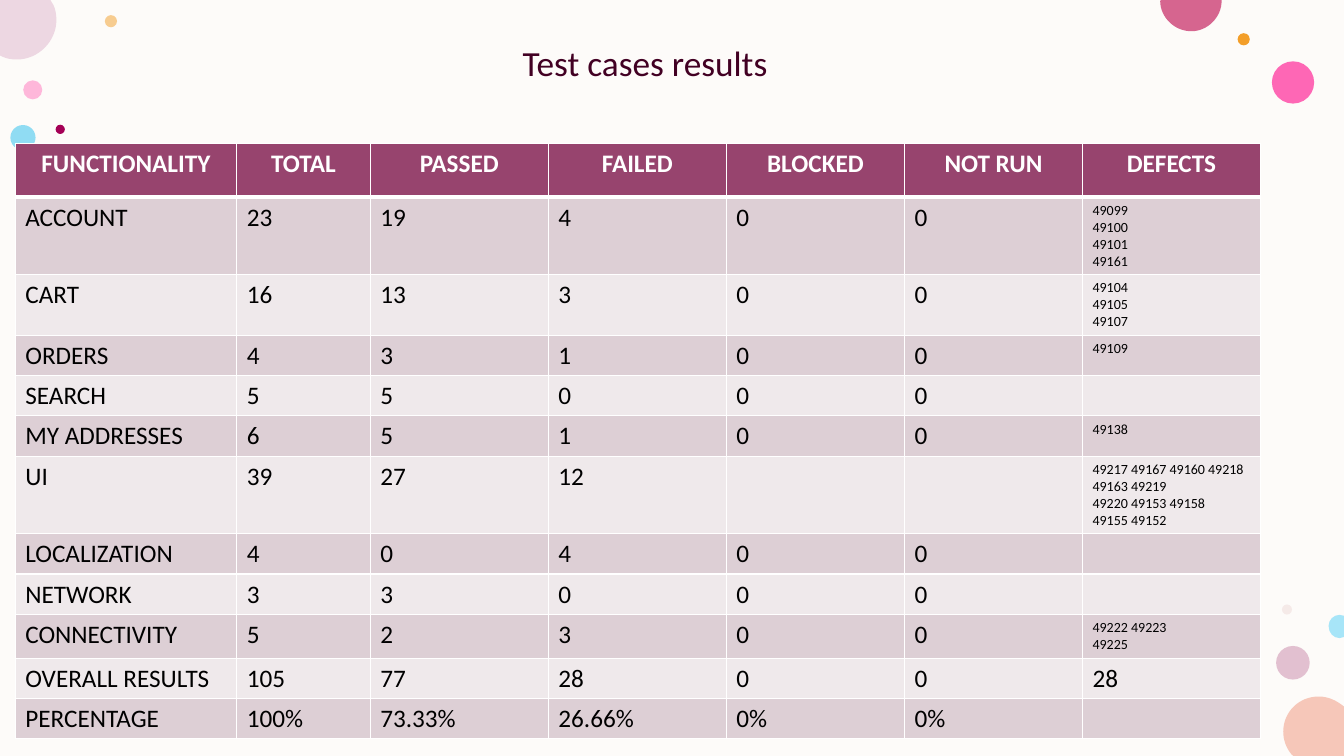
from lxml.etree import SubElement
from pptx import Presentation
from pptx.dml.color import RGBColor
from pptx.enum.shapes import MSO_SHAPE as Preset
from pptx.enum.text import MSO_ANCHOR as Anchor, PP_ALIGN as Align
from pptx.oxml.ns import qn
from pptx.util import Pt

SLIDE_WIDTH, SLIDE_HEIGHT = 960, 540
FONT = "Calibri"
CREAM = RGBColor(0xFD, 0xFB, 0xF9)
WHITE = RGBColor(0xFF, 0xFF, 0xFF)
BLACK = RGBColor(0x00, 0x00, 0x00)
DARK_PLUM = RGBColor(0x42, 0x00, 0x23)
PLUM = RGBColor(0x97, 0x44, 0x6E)
BAND_DARK = RGBColor(0xDD, 0xCF, 0xD5)
BAND_LIGHT = RGBColor(0xEF, 0xE9, 0xEB)
PINK = RGBColor(0xFF, 0x75, 0xBD)
HOT_PINK = RGBColor(0xFF, 0x2F, 0x9C)
ORANGE = RGBColor(0xF3, 0x9E, 0x29)
MAUVE = RGBColor(0xC9, 0x87, 0xA8)
BLUE = RGBColor(0x24, 0xBE, 0xEE)
PALE_BLUE = RGBColor(0xA7, 0xE5, 0xF8)
BLUSH = RGBColor(0xE3, 0xBE, 0xBE)
PEACH = RGBColor(0xF6, 0xC7, 0xB9)
LILAC = RGBColor(0xED, 0xD7, 0xE2)
ROSE = RGBColor(0xD6, 0x65, 0x8F)
CRIMSON = RGBColor(0xA4, 0x00, 0x56)

# left, top, diameter, colour, opacity in percent
BUBBLES = [
    (16.6, 57.4, 13.6, PINK, 50),
    (74.9, 10.8, 8.7, ORANGE, 50),
    (911.5, 461.4, 24, MAUVE, 50),
    (7.4, 89.3, 18, BLUE, 50),
    (908.5, 43.8, 30.2, HOT_PINK, 72),
    (884, 23.7, 8.7, ORANGE, 100),
    (915.7, 431.8, 7.2, BLUSH, 28),
    (820.1, 482.4, 8.7, BLUE, 100),
    (797, 492.5, 24, LILAC, 100),
    (781.9, 488.9, 8.7, PEACH, 100),
    (39.7, 89.1, 6.6, CRIMSON, 100),
]

# colour, start, then lines of one point and curves of three
EDGE_BUBBLES = [
    (PEACH, (941.8, 497.5),
     [[(949, 497.5), (954.7, 500.4), (960, 504.7)],
      [(960, 540)], [(923.8, 540)], [(922.3, 538.6)],
      [(918.7, 534.2), (916.6, 528.5), (916.6, 522.7)],
      [(916.6, 508.3), (928.1, 497.5), (941.8, 497.5)]]),
    (LILAC, (0, 0),
     [[(36, 0)], [(38.2, 3.6)],
      [(39.6, 6.5), (40.3, 10.1), (40.3, 14.4)],
      [(40.3, 29.5), (27.4, 42.5), (12.2, 42.5)],
      [(7.9, 42.5), (4.3, 41.8), (1.4, 40.3)], [(0, 39.6)]]),
    (ROSE, (829.4, 0),
     [[(872.6, 0)], [(872.6, 0.7)],
      [(872.6, 12.2), (862.6, 22.3), (851, 22.3)],
      [(838.8, 22.3), (828.7, 12.2), (828.7, 0.7)]]),
    (PALE_BLUE, (956.9, 439.2),
     [[(960, 439.9)], [(960, 455)], [(956.9, 455.8)],
      [(952.6, 455.8), (949, 452.2), (949, 447.1)],
      [(949, 442.8), (952.6, 439.2), (956.9, 439.2)]]),
]

COLUMN_WIDTHS = [158.2, 95.4] + [127.2] * 5
ROW_HEIGHTS = [38.2, 49, 38.2, 25.2, 25.2, 25.2, 49] + [25.2] * 5
RESULTS = [
    ("FUNCTIONALITY", "TOTAL", "PASSED", "FAILED", "BLOCKED", "NOT RUN", "DEFECTS"),
    ("ACCOUNT ", "23", "19", "4", "0", "0", "49099\n49100\n49101\n49161"),
    ("CART", "16", "13", "3", "0", "0", "49104\n49105\n49107"),
    ("ORDERS", "4", "3", "1", "0", "0", "49109"),
    ("SEARCH", "5", "5", "0", "0", "0", ""),
    ("MY ADDRESSES", "6", "5", "1", "0", "0", "49138"),
    ("UI", "39", "27", "12", "", "",
     "49217 49167 49160 49218 49163 49219\n49220 49153 49158\n49155 49152"),
    ("LOCALIZATION", "4", "0", "4", "0", "0", ""),
    ("NETWORK", "3", "3", "0", "0", "0", ""),
    ("CONNECTIVITY", "5", "2", "3", "0", "0", "49222 49223\n49225"),
    ("OVERALL RESULTS", "105", "77", "28", "0", "0", "28"),
    ("PERCENTAGE", "100%", "73.33%", "26.66%", "0%", "0%", ""),
]


def format_text(text_frame, size, color, bold=False, align=Align.LEFT):
    """Format every paragraph and run of a text frame."""
    for paragraph in text_frame.paragraphs:
        paragraph.alignment = align
        for run in paragraph.runs:
            run.font.name = FONT
            run.font.size = Pt(size)
            run.font.bold = bold
            run.font.color.rgb = color


def paint(shape, color, opacity=100):
    """Fill a shape without line or shadow."""
    shape.shadow.inherit = False
    shape.line.fill.background()
    shape.fill.solid()
    shape.fill.fore_color.rgb = color
    if opacity < 100:
        fill_color = shape._element.spPr.find(qn("a:solidFill"))[0]
        SubElement(fill_color, qn("a:alpha"), val=str(opacity * 1000))


def add_edge_bubble(slide, box, color, start, segments):
    """Draw a bubble cut by the edge of the box."""
    def place(point):
        """Move a point into the box."""
        return Pt(box[0] + point[0]), Pt(box[1] + point[1])

    builder = slide.shapes.build_freeform(*place(start))
    builder.add_line_segments(
        [place(point) for segment in segments for point in segment], close=True)
    shape = builder.convert_to_shape()
    lines = iter(list(shape._element.iter(qn("a:lnTo"))))
    for segment in segments:
        first, *others = [next(lines) for _ in segment]
        if others:
            first.tag = qn("a:cubicBezTo")
            for line in others:
                first.append(line[0])
                line.getparent().remove(line)
    paint(shape, color)


def add_backdrop(slide, box):
    """Fill the box with cream and scatter the bubbles over it."""
    paint(slide.shapes.add_shape(Preset.RECTANGLE, *map(Pt, box)), CREAM)
    for left, top, diameter, color, opacity in BUBBLES:
        shape = slide.shapes.add_shape(
            Preset.OVAL, Pt(box[0] + left), Pt(box[1] + top),
            Pt(diameter), Pt(diameter))
        paint(shape, color, opacity)
    for edge_bubble in EDGE_BUBBLES:
        add_edge_bubble(slide, box, *edge_bubble)


def add_title(slide, box, text):
    """Write the centred title at the top of the box."""
    text_frame = slide.shapes.add_textbox(*map(Pt, box)).text_frame
    text_frame.word_wrap = True
    text_frame.vertical_anchor = Anchor.TOP
    text_frame.margin_top = Pt(4.3)
    text_frame.text = text
    text_frame.paragraphs[0].line_spacing = 0.9
    format_text(text_frame, 25.2, DARK_PLUM, align=Align.CENTER)


def set_borders(cell, top, bottom):
    """Give a cell white borders, with top and bottom widths in points."""
    properties = cell._tc.get_or_add_tcPr()
    for side, width in (("L", 1), ("R", 1), ("T", top), ("B", bottom)):
        line = SubElement(properties, qn(f"a:ln{side}"), w=str(Pt(width)))
        fill = SubElement(line, qn("a:solidFill"))
        SubElement(fill, qn("a:srgbClr"), val=str(WHITE))


def add_results_table(slide, box):
    """Build the banded table of test results in the box."""
    frame = slide.shapes.add_table(len(RESULTS), len(COLUMN_WIDTHS), *map(Pt, box))
    table = frame.table
    for column, width in zip(table.columns, COLUMN_WIDTHS):
        column.width = Pt(width)
    for row_index, values in enumerate(RESULTS):
        table.rows[row_index].height = Pt(ROW_HEIGHTS[row_index])
        is_header = row_index == 0
        band = PLUM if is_header else BAND_DARK if row_index % 2 else BAND_LIGHT
        for column_index, value in enumerate(values):
            cell = table.cell(row_index, column_index)
            set_borders(cell, 3 if row_index == 1 else 1, 3 if is_header else 1)
            cell.fill.solid()
            cell.fill.fore_color.rgb = band
            cell.text_frame.text = value
            if is_header:
                format_text(cell.text_frame, 18, WHITE, True, Align.CENTER)
            else:
                is_defect_list = column_index == 6 and value.startswith("49")
                format_text(cell.text_frame, 10 if is_defect_list else 18, BLACK)
    frame.height = Pt(box[3])


def main():
    """Build the slide and save it."""
    presentation = Presentation()
    presentation.slide_width = Pt(SLIDE_WIDTH)
    presentation.slide_height = Pt(SLIDE_HEIGHT)
    slide = presentation.slides.add_slide(presentation.slide_layouts[6])
    add_backdrop(slide, (0, 0, SLIDE_WIDTH, SLIDE_HEIGHT))
    add_title(slide, (20.9, 28.8, 879.8, 66.2), "Test cases results")
    add_results_table(slide, (10.9, 102.6, sum(COLUMN_WIDTHS), 424.8))
    presentation.save("out.pptx")


main()
